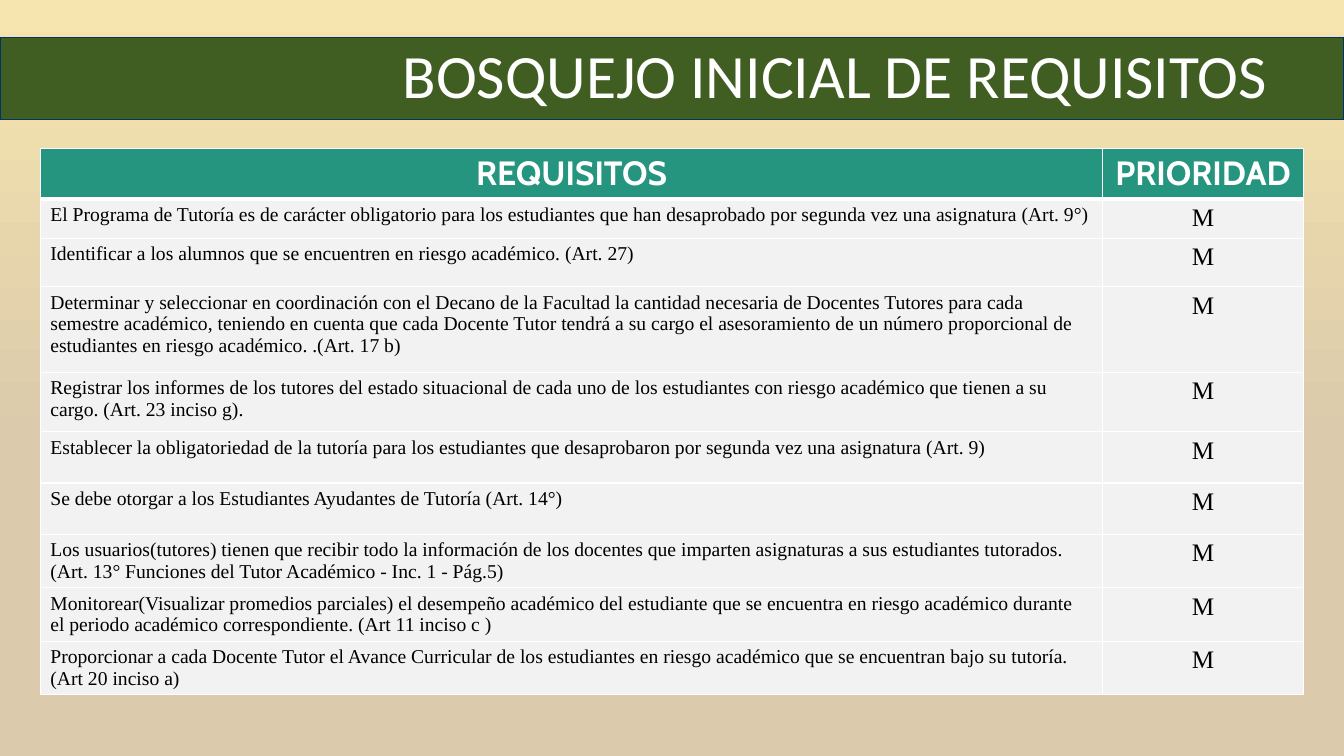
from lxml.etree import SubElement
from pptx import Presentation
from pptx.dml.color import RGBColor
from pptx.enum.shapes import MSO_SHAPE
from pptx.enum.text import MSO_ANCHOR, PP_ALIGN
from pptx.oxml.ns import qn
from pptx.util import Pt

TITLE = "BOSQUEJO INICIAL DE REQUISITOS"
HEADINGS = ("REQUISITOS", "PRIORIDAD")
PRIORITY = "M"
# Requirement and row height in points
REQUIREMENTS = [
    ("El Programa de Tutoría es de carácter obligatorio para los estudiantes que han "
     "desaprobado por segunda vez una asignatura (Art. 9°)", 27.7),
    ("Identificar a los alumnos que se encuentren en riesgo académico. (Art. 27)", 34.6),
    ("Determinar y seleccionar en coordinación con el Decano de la Facultad la cantidad "
     "necesaria de Docentes Tutores para cada semestre académico, teniendo en cuenta que "
     "cada Docente Tutor tendrá a su cargo el asesoramiento de un número proporcional de "
     "estudiantes en riesgo académico. .(Art. 17 b)", 61.2),
    ("Registrar los informes de los tutores del estado situacional de cada uno de los "
     "estudiantes con riesgo académico que tienen a su cargo. (Art. 23 inciso g).", 42.6),
    ("Establecer la obligatoriedad de la tutoría para los estudiantes que desaprobaron por "
     "segunda vez una asignatura (Art. 9)", 36.6),
    ("Se debe otorgar a los Estudiantes Ayudantes de Tutoría (Art. 14°)", 36.6),
    ("Los usuarios(tutores) tienen que recibir todo la información de los docentes que "
     "imparten asignaturas a sus estudiantes tutorados.(Art. 13° Funciones del Tutor "
     "Académico - Inc. 1 - Pág.5)", 38.2),
    ("Monitorear(Visualizar promedios parciales) el desempeño académico del estudiante que "
     "se encuentra en riesgo académico durante el periodo académico correspondiente. "
     "(Art 11 inciso c )", 38.2),
    ("Proporcionar a cada Docente Tutor el Avance Curricular de los estudiantes en riesgo "
     "académico que se encuentran bajo su tutoría.(Art 20 inciso a)", 38.2),
]

WHITE = RGBColor(0xFF, 0xFF, 0xFF)
BLACK = RGBColor(0x00, 0x00, 0x00)
SAND_LIGHT = RGBColor(0xF6, 0xE5, 0xAE)
SAND_DARK = RGBColor(0xDB, 0xCA, 0xAB)
GREEN = RGBColor(0x40, 0x5E, 0x21)
NAVY = RGBColor(0x00, 0x33, 0x66)
TEAL = RGBColor(0x26, 0x95, 0x7F)
PALE_GREY = RGBColor(0xF2, 0xF2, 0xF2)

SLIDE_WIDTH, SLIDE_HEIGHT = 960, 540
TABLE_LEFT, TABLE_TOP = 28.8, 106
COLUMN_WIDTHS = (759, 143.2)
HEADER_HEIGHT = 34.6

HEADER_FORMAT = dict(size=24, font="Cabin", color=WHITE, bold=True, align=PP_ALIGN.CENTER)
REQUIREMENT_FORMAT = dict(size=14, font="Times New Roman")
PRIORITY_FORMAT = dict(size=18, font="Times New Roman", align=PP_ALIGN.CENTER)


def write(frame, text, *, size, font, color=BLACK, bold=False, align=PP_ALIGN.LEFT,
          spacing=None):
    paragraph = frame.paragraphs[0]
    paragraph.alignment = align
    paragraph.line_spacing = spacing
    run = paragraph.add_run()
    run.text = text
    run.font.size = Pt(size)
    run.font.name = font
    run.font.bold = bold
    run.font.color.rgb = color


def set_borders(cell, bottom):
    """Draw white cell edges, 1 pt wide except for the bottom one."""
    properties = cell._tc.get_or_add_tcPr()
    for index, (edge, width) in enumerate(
            {"a:lnL": 1, "a:lnR": 1, "a:lnT": 1, "a:lnB": bottom}.items()):
        line = SubElement(properties, qn(edge), w=str(Pt(width)))
        fill = SubElement(line, qn("a:solidFill"))
        SubElement(fill, qn("a:srgbClr"), val=str(WHITE))
        properties.insert(index, line)


def paint_background(slide):
    fill = slide.background.fill
    fill.gradient()
    fill.gradient_angle = 270
    for stop, position, color in zip(fill.gradient_stops, (0, 0.59),
                                     (SAND_LIGHT, SAND_DARK)):
        stop.position = position
        stop.color.rgb = color


def add_requirements(slide):
    rows = [(HEADER_HEIGHT, TEAL, 3, zip(HEADINGS, (HEADER_FORMAT, HEADER_FORMAT)))]
    rows += [(height, PALE_GREY, 1,
              ((requirement, REQUIREMENT_FORMAT), (PRIORITY, PRIORITY_FORMAT)))
             for requirement, height in REQUIREMENTS]
    table = slide.shapes.add_table(
        len(rows), len(COLUMN_WIDTHS), Pt(TABLE_LEFT), Pt(TABLE_TOP),
        Pt(sum(COLUMN_WIDTHS)), Pt(sum(row[0] for row in rows))).table
    for column, width in zip(table.columns, COLUMN_WIDTHS):
        column.width = Pt(width)
    for row, (height, color, bottom, entries) in zip(table.rows, rows):
        row.height = Pt(height)
        for cell, (text, text_format) in zip(row.cells, entries):
            cell.fill.solid()
            cell.fill.fore_color.rgb = color
            set_borders(cell, bottom)
            write(cell.text_frame, text, **text_format)


def add_title(slide):
    band = slide.shapes.add_shape(MSO_SHAPE.RECTANGLE, 0, Pt(26.6), Pt(SLIDE_WIDTH), Pt(59))
    band.shadow.inherit = False
    band.fill.solid()
    band.fill.fore_color.rgb = GREEN
    band.line.color.rgb = NAVY
    band.line.width = Pt(1)
    frame = slide.shapes.add_textbox(Pt(233.3), Pt(21.6), Pt(727), Pt(69)).text_frame
    frame.word_wrap = True
    frame.vertical_anchor = MSO_ANCHOR.MIDDLE
    write(frame, TITLE, size=44, font="Calibri", color=WHITE, align=PP_ALIGN.CENTER,
          spacing=0.9)


def main():
    presentation = Presentation()
    presentation.slide_width = Pt(SLIDE_WIDTH)
    presentation.slide_height = Pt(SLIDE_HEIGHT)
    slide = presentation.slides.add_slide(presentation.slide_layouts[6])
    paint_background(slide)
    add_requirements(slide)
    add_title(slide)
    presentation.save("out.pptx")


if __name__ == "__main__":
    main()
